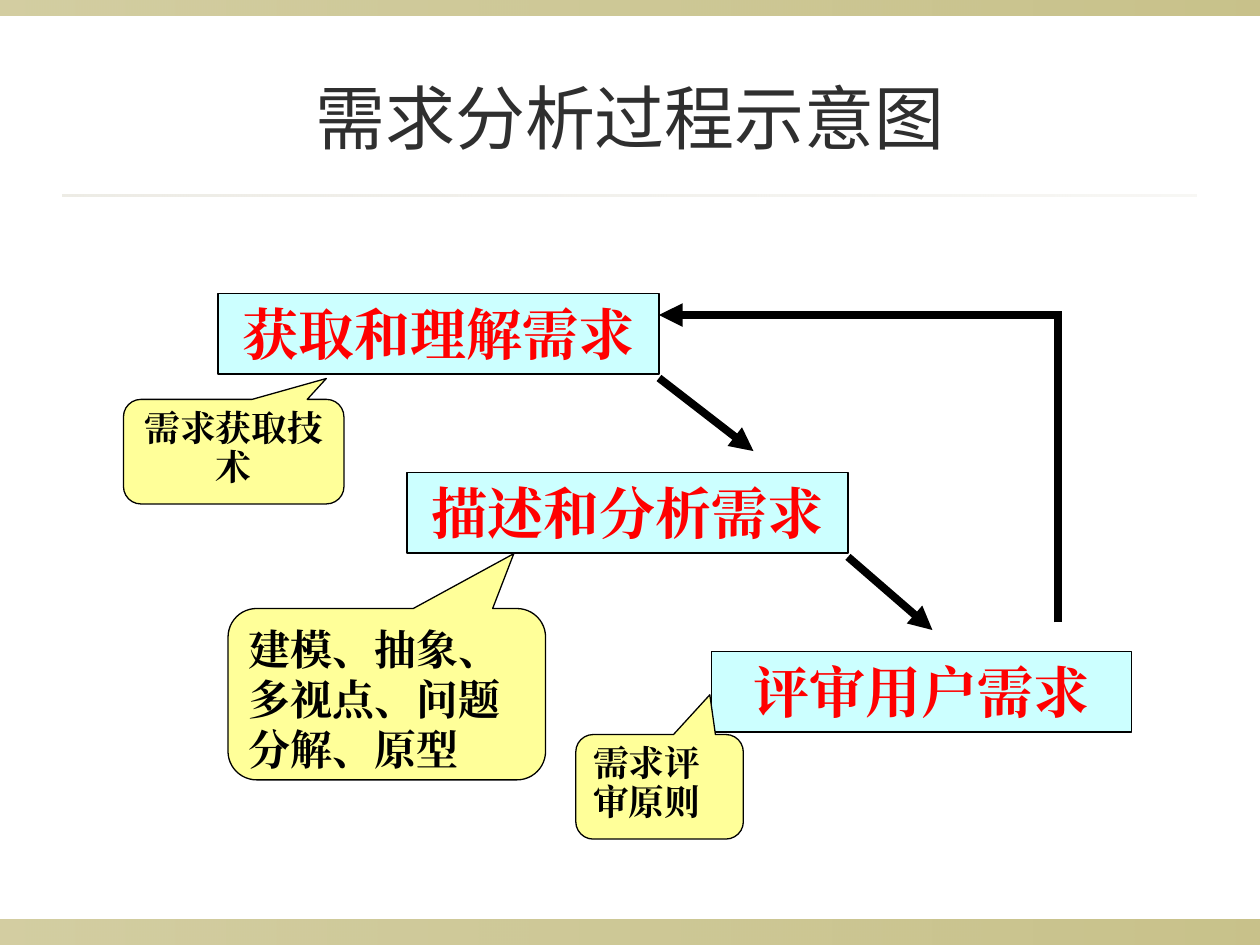
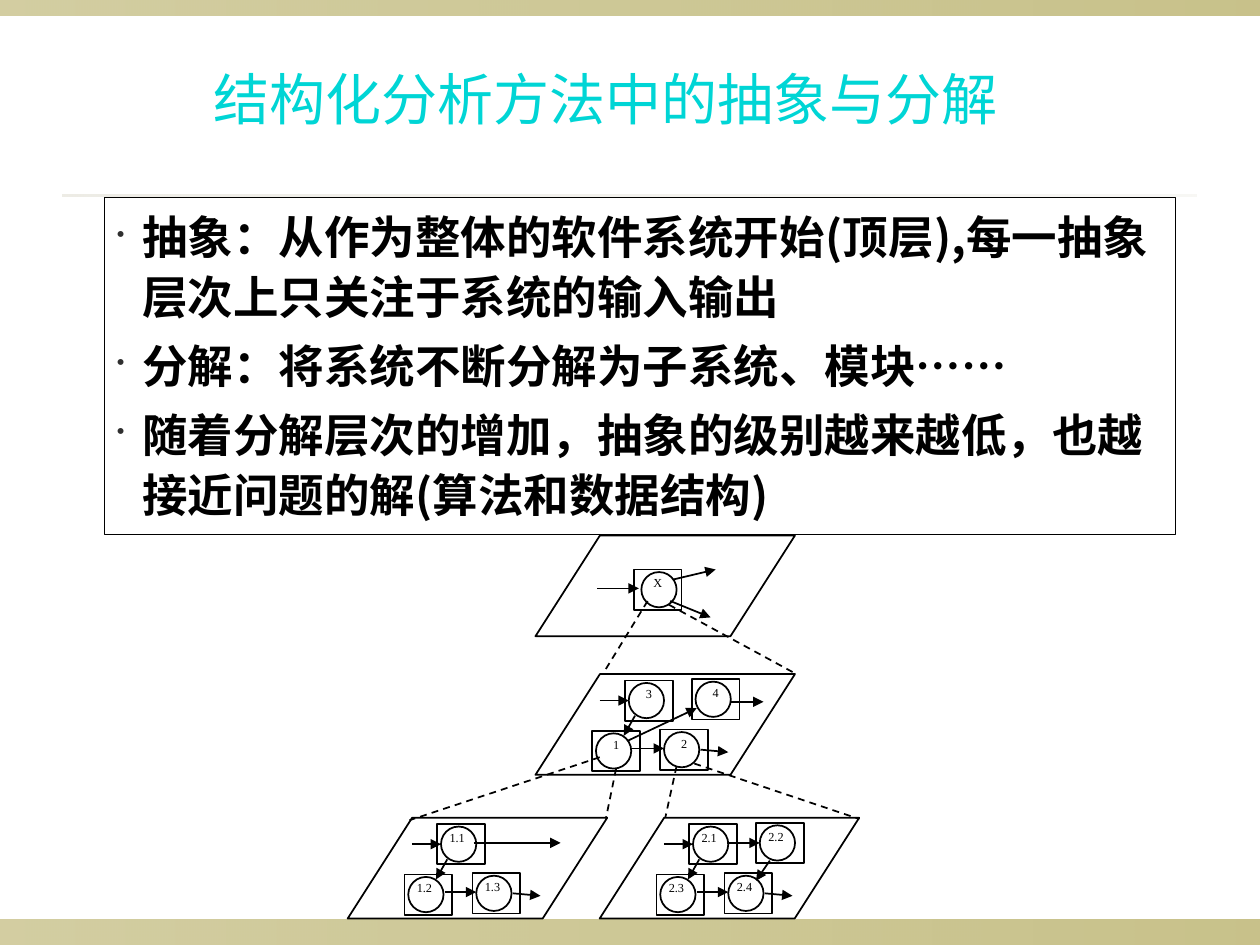
from dataclasses import dataclass

from lxml.etree import SubElement
from pptx import Presentation
from pptx.dml.color import RGBColor
from pptx.enum.dml import MSO_LINE
from pptx.enum.shapes import MSO_CONNECTOR, MSO_SHAPE
from pptx.enum.text import MSO_ANCHOR, MSO_AUTO_SIZE, PP_ALIGN
from pptx.oxml.ns import qn
from pptx.util import Cm, Pt

HUES = {
    "band": "918415",
    "rule": "DCD9CC",
    "title": "2F2F2F",
    "cyan": "00D5D5",
    "step": "CCFFFF",
    "note": "FFFF99",
    "red": "FF0000",
    "black": "000000",
}
SANS = "Noto Sans CJK SC"
SERIF = "Times New Roman"
Spot = tuple[float, float]
Box = tuple[float, float, float, float]


@dataclass(frozen=True)
class Style:
    size: float
    hue: str = "black"
    face: str = SERIF
    bold: bool = False
    align: PP_ALIGN = PP_ALIGN.LEFT
    pitch: float = 1.0


@dataclass(frozen=True)
class Band:
    box: Box
    hue: str
    start: int
    end: int


@dataclass(frozen=True)
class Step:
    text: str
    box: Box


@dataclass(frozen=True)
class Note:
    text: str
    box: Box
    tip: Spot
    style: Style


@dataclass(frozen=True)
class Arrow:
    start: Spot
    end: Spot
    head: bool = True


@dataclass(frozen=True)
class Node:
    text: str
    spot: Spot


@dataclass(frozen=True)
class Panel:
    spot: Spot
    nodes: list[Node]
    arrows: list[Arrow]
    align: PP_ALIGN = PP_ALIGN.CENTER


BANDS = [
    Band((0, 7.3, 10, 0.2), "band", 40, 50),
    Band((0, 0, 10, 0.12), "band", 40, 50),
    Band((0.5, 1.54, 9, 0.02), "rule", 50, 20),
]

STEP = Style(32, "red", bold=True, align=PP_ALIGN.CENTER)
STEPS = [
    Step("获取和理解需求", (1.73, 2.33, 3.5, 0.64)),
    Step("描述和分析需求", (3.23, 3.75, 3.5, 0.64)),
    Step("评审用户需求", (5.65, 5.17, 3.33, 0.64)),
]
FLOWS = [
    Arrow((5.23, 3), (5.98, 3.58)),
    Arrow((6.73, 4.42), (7.4, 5)),
    Arrow((8.4, 4.94), (8.4, 2.47), False),
    Arrow((8.4, 2.5), (5.23, 2.5)),
]
NOTES = [
    Note("需求获取技术", (0.98, 3.17, 1.75, 0.83), (0.42, -0.7),
         Style(20.4, bold=True, align=PP_ALIGN.CENTER, pitch=0.9)),
    Note("建模、抽象、多视点、问题分解、原型", (1.81, 4.83, 2.52, 1.36),
         (0.4, -0.82), Style(24, bold=True)),
    Note("需求评审原则", (4.57, 5.83, 1.33, 0.83), (0.3, -0.88),
         Style(20.4, bold=True, pitch=0.9)),
]

POINT = Style(26, face=SANS, bold=True, pitch=1.1)
POINTS = [
    "抽象：从作为整体的软件系统开始(顶层),每一抽象层次上只关注于系统的输入输出",
    "分解：将系统不断分解为子系统、模块……",
    "随着分解层次的增加，抽象的级别越来越低，也越接近问题的解(算法和数据结构)",
]

SLOTS = [(0.71, 0.05), (0.45, 0.45), (0.99, 0.44), (1.24, 0.04)]
INNER = [
    Arrow((0.51, 0.21), (0.74, 0.21)),
    Arrow((0.79, 0.33), (0.7, 0.49)),
    Arrow((0.77, 0.59), (1.02, 0.59)),
    Arrow((1.31, 0.6), (1.53, 0.62)),
]


def nodes(*names: str) -> list[Node]:
    return [Node(name, slot) for name, slot in zip(names, SLOTS)]


PANELS = [
    Panel((4.76, 6.49), nodes("2.1", "2.3", "2.4", "2.2"),
          INNER + [Arrow((1.01, 0.2), (1.27, 0.2)),
                   Arrow((1.35, 0.34), (1.24, 0.5))], PP_ALIGN.JUSTIFY),
    Panel((4.25, 5.35), nodes("3", "1", "2", "4"),
          INNER + [Arrow((1.55, 0.22), (1.81, 0.22)),
                   Arrow((0.73, 0.53), (1.28, 0.27))]),
    Panel((2.76, 6.49), nodes("1.1", "1.2", "1.3"),
          INNER + [Arrow((1, 0.2), (1.69, 0.2))], PP_ALIGN.JUSTIFY),
    Panel((4.25, 4.25), [Node("X", (0.78, 0.27))],
          [Arrow((0.49, 0.42), (0.82, 0.42)),
           Arrow((1.07, 0.52), (1.39, 0.65)),
           Arrow((1.09, 0.35), (1.43, 0.27))]),
]
LINKS = [
    Arrow((5.14, 4.77), (4.79, 5.34), False),
    Arrow((5.31, 4.8), (6.32, 5.35), False),
    Arrow((4.76, 6.01), (3.25, 6.51), False),
    Arrow((4.89, 6.1), (4.81, 6.49), False),
    Arrow((5.37, 6.08), (5.28, 6.49), False),
    Arrow((5.51, 6.06), (6.82, 6.5), False),
]


def scale(*inches: float) -> list[Cm]:
    return [Cm(inch * 2.54) for inch in inches]


def shade(name: str) -> RGBColor:
    return RGBColor.from_string(HUES[name])


def shift(spot: Spot, base: Spot) -> Spot:
    return spot[0] + base[0], spot[1] + base[1]


def format_para(para, style: Style) -> None:
    para.alignment = style.align
    para.line_spacing = style.pitch
    font = para.font
    font.size = Pt(style.size)
    font.bold = style.bold
    font.color.rgb = shade(style.hue)
    font.name = style.face
    SubElement(font._element, qn("a:ea"), typeface=style.face)


def write(shape, text: str, style: Style) -> None:
    frame = shape.text_frame
    frame.word_wrap = True
    frame.vertical_anchor = MSO_ANCHOR.TOP
    frame.text = text
    format_para(frame.paragraphs[0], style)


def add_form(slide, kind: MSO_SHAPE, box: Box, fill: str = "",
             width: float = 1):
    shape = slide.shapes.add_shape(kind, *scale(*box))
    shape.shadow.inherit = False
    if fill:
        shape.fill.solid()
        shape.fill.fore_color.rgb = shade(fill)
    else:
        shape.fill.background()
    shape.line.color.rgb = shade("black")
    shape.line.width = Pt(width)
    return shape


def add_arrow(slide, arrow: Arrow, width: float = 1, base: Spot = (0, 0),
              dash: bool = False) -> None:
    ends = shift(arrow.start, base) + shift(arrow.end, base)
    line = slide.shapes.add_connector(MSO_CONNECTOR.STRAIGHT, *scale(*ends))
    line.line.color.rgb = shade("black")
    line.line.width = Pt(width)
    if dash:
        line.line.dash_style = MSO_LINE.DASH
    if arrow.head:
        SubElement(line.line._get_or_add_ln(), qn("a:tailEnd"),
                   type="triangle")
    SubElement(line._element.spPr, qn("a:effectLst"))


def add_band(slide, band: Band) -> None:
    shape = add_form(slide, MSO_SHAPE.RECTANGLE, band.box)
    shape.line.fill.background()
    shape.fill.gradient()
    shape.fill.gradient_angle = 0
    for stop, alpha in zip(shape.fill.gradient_stops, (band.start, band.end)):
        stop.color.rgb = shade(band.hue)
        tint = stop._gs.find(qn("a:srgbClr"))
        SubElement(tint, qn("a:alpha"), val=str(alpha * 1000))


def add_page(deck, text: str, box: Box, style: Style):
    slide = deck.slides.add_slide(deck.slide_layouts[5])
    for band in BANDS:
        add_band(slide, band)
    title = slide.shapes.title
    title.left, title.top, title.width, title.height = scale(*box)
    write(title, text, style)
    title.text_frame.auto_size = MSO_AUTO_SIZE.NONE
    title.text_frame.vertical_anchor = MSO_ANCHOR.MIDDLE
    return slide


def add_note(slide, note: Note) -> None:
    shape = add_form(slide, MSO_SHAPE.ROUNDED_RECTANGULAR_CALLOUT, note.box,
                     "note", 0.75)
    shape.adjustments[0], shape.adjustments[1] = note.tip
    write(shape, note.text, note.style)


def add_points(slide, box: Box) -> None:
    shape = add_form(slide, MSO_SHAPE.RECTANGLE, box, width=0.75)
    frame = shape.text_frame
    frame.word_wrap = True
    frame.vertical_anchor = MSO_ANCHOR.TOP
    frame.text = "\n".join(POINTS)
    for rank, para in enumerate(frame.paragraphs):
        props = para._p.get_or_add_pPr()
        dent = scale(0.2)[0]
        props.set("marL", str(dent))
        props.set("indent", str(-dent))
        para.space_before = Pt(4.9 if rank else 0)
        hue = SubElement(props, qn("a:buClr"))
        SubElement(hue, qn("a:srgbClr"), val=HUES["title"])
        SubElement(props, qn("a:buSzPct"), val="50000")
        SubElement(props, qn("a:buChar"), char="•")
        format_para(para, POINT)


def add_panel(slide, panel: Panel) -> None:
    form = add_form(slide, MSO_SHAPE.PARALLELOGRAM, (*panel.spot, 2.06, 0.8))
    form.adjustments[0] = 0.64
    for node in panel.nodes:
        left, top = shift(node.spot, panel.spot)
        cell = add_form(slide, MSO_SHAPE.RECTANGLE, (left, top, 0.38, 0.32))
        write(cell, node.text, Style(7, align=panel.align))
        inset = 0.06 if len(panel.nodes) == 1 else 0.03
        add_form(slide, MSO_SHAPE.OVAL, (left + inset, top + 0.02, 0.28, 0.28))
    for arrow in panel.arrows:
        add_arrow(slide, arrow, base=panel.spot)


def draw_process(deck) -> None:
    slide = add_page(deck, "需求分析过程示意图", (0.5, 0.3, 9, 1.25),
                     Style(40, "title", SANS, align=PP_ALIGN.CENTER))
    for step in STEPS:
        shape = add_form(slide, MSO_SHAPE.RECTANGLE, step.box, "step", 0.75)
        write(shape, step.text, STEP)
    for flow in FLOWS:
        add_arrow(slide, flow, 4.5)
    for note in NOTES:
        add_note(slide, note)


def draw_layers(deck) -> None:
    slide = add_page(deck, "结构化分析方法中的抽象与分解", (0.31, 0.4, 9, 0.75),
                     Style(32, "cyan", SANS, align=PP_ALIGN.CENTER))
    add_points(slide, (0.83, 1.57, 8.5, 2.67))
    for panel in PANELS:
        add_panel(slide, panel)
    for link in LINKS:
        add_arrow(slide, link, dash=True)


def main() -> None:
    deck = Presentation()
    deck.slide_width, deck.slide_height = scale(10, 7.5)
    draw_process(deck)
    draw_layers(deck)
    deck.save("out.pptx")


if __name__ == "__main__":
    main()
